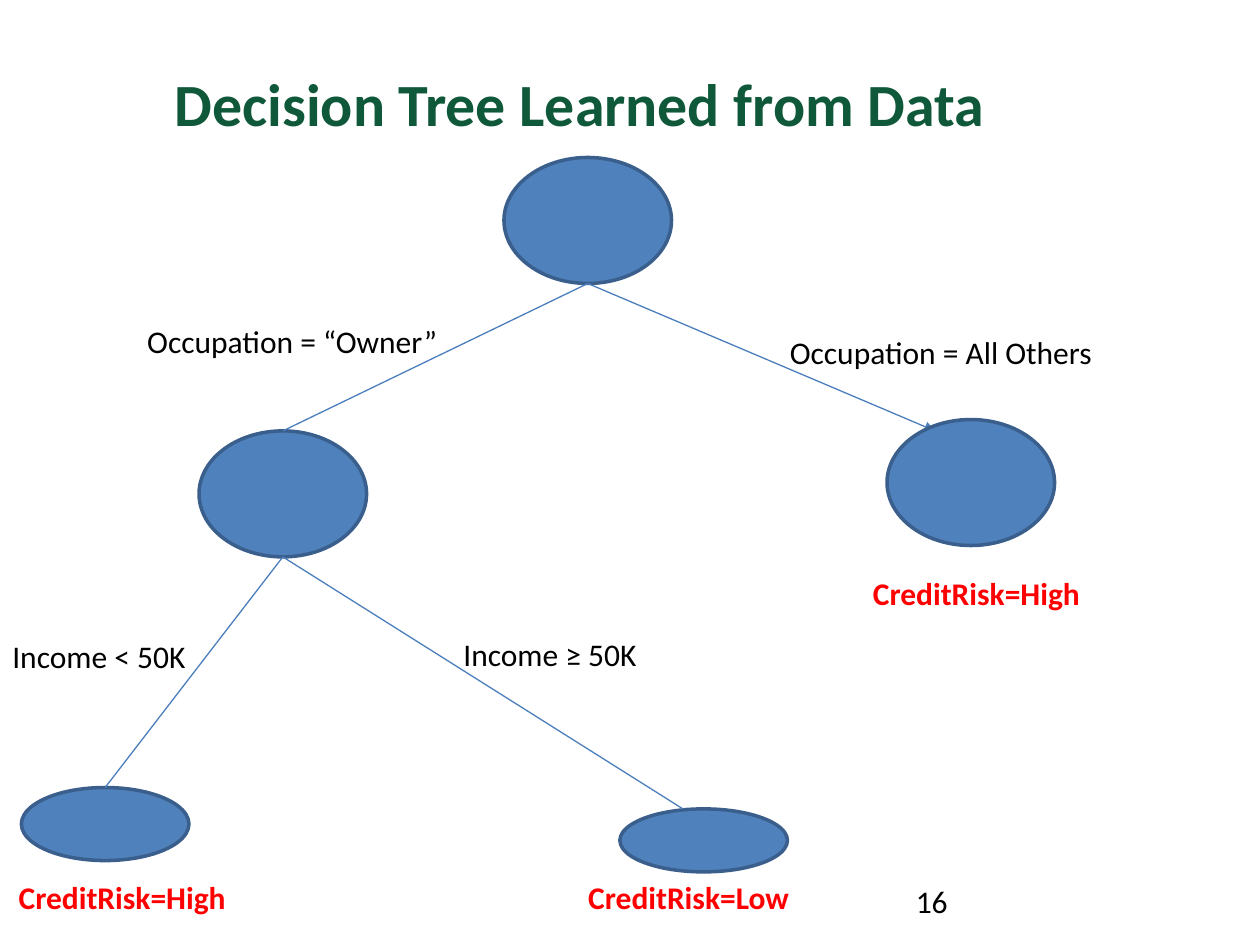
from dataclasses import dataclass

from pptx import Presentation
from pptx.dml.color import RGBColor
from pptx.enum.shapes import MSO_CONNECTOR, MSO_SHAPE
from pptx.enum.text import MSO_ANCHOR, MSO_AUTO_SIZE, PP_ALIGN
from pptx.oxml.ns import qn
from pptx.util import Inches, Pt
from lxml import etree

ELLIPSE = MSO_SHAPE.OVAL
STRAIGHT = MSO_CONNECTOR.STRAIGHT
MIDDLE = MSO_ANCHOR.MIDDLE
CENTER = PP_ALIGN.CENTER
FIT_SHAPE = MSO_AUTO_SIZE.SHAPE_TO_FIT_TEXT
FIT_NONE = MSO_AUTO_SIZE.NONE
TOP_SITE = 0
TITLE_ONLY = 5
NODE_WIDTH = 1.33
LABEL_HEIGHT = 0.4


@dataclass(frozen=True)
class Theme:
    font: str = "Calibri"
    title_size: float = 34.2
    label_size: float = 18
    title: RGBColor = RGBColor(0x0F, 0x58, 0x3A)
    text: RGBColor = RGBColor(0, 0, 0)
    outcome: RGBColor = RGBColor(0xFF, 0, 0)
    node: RGBColor = RGBColor(0x4F, 0x81, 0xBD)
    outline: RGBColor = RGBColor(0x3A, 0x5F, 0x8C)
    edge: RGBColor = RGBColor(0x4B, 0x7E, 0xBC)


THEME = Theme()


def format_text(frame, size, color, bold=False):
    for para in frame.paragraphs:
        for span in para.runs:
            span.font.name = THEME.font
            span.font.size = Pt(size)
            span.font.color.rgb = color
            span.font.bold = bold


def set_title(slide, text):
    title = slide.shapes.title
    title.left, title.top = Inches(0.35), Inches(0.49)
    title.width, title.height = Inches(8.5), Inches(0.64)
    frame = title.text_frame
    frame.text = text
    frame.auto_size = FIT_NONE
    frame.vertical_anchor = MIDDLE
    frame.paragraphs[0].alignment = CENTER
    format_text(frame, THEME.title_size, THEME.title, bold=True)


def add_node(slide, left, top, height=1):
    node = slide.shapes.add_shape(
        ELLIPSE, Inches(left), Inches(top), Inches(NODE_WIDTH), Inches(height)
    )
    node.shadow.inherit = False
    node.fill.solid()
    node.fill.fore_color.rgb = THEME.node
    node.line.color.rgb = THEME.outline
    node.line.width = Pt(2)
    return node


def add_edge(slide, parent, end, child=None, arrow=False):
    begin_x = parent.left + parent.width // 2
    begin_y = parent.top + parent.height
    edge = slide.shapes.add_connector(
        STRAIGHT, begin_x, begin_y, Inches(end[0]), Inches(end[1])
    )
    edge.line.color.rgb = THEME.edge
    edge.line.width = Pt(0.75)
    if child is not None:
        edge.end_connect(child, TOP_SITE)
    if arrow:
        etree.SubElement(edge.line._get_or_add_ln(), qn("a:tailEnd"), type="triangle")
    etree.SubElement(edge._element.spPr, qn("a:effectLst"))


def add_label(slide, text, left, top, width, color=THEME.text, bold=False, wrap=False):
    box = slide.shapes.add_textbox(
        Inches(left), Inches(top), Inches(width), Inches(LABEL_HEIGHT)
    )
    frame = box.text_frame
    frame.text = text
    frame.word_wrap = wrap
    frame.auto_size = FIT_NONE if wrap else FIT_SHAPE
    format_text(frame, THEME.label_size, color, bold)


def add_tree(slide):
    root = add_node(slide, 4, 1.25)
    owner = add_node(slide, 1.58, 3.42)
    add_edge(slide, root, (2.25, 3.42), child=owner)
    add_edge(slide, root, (7.42, 3.42), arrow=True)
    add_node(slide, 7.04, 3.33)
    low_income = add_node(slide, 0.17, 6.25, 0.58)
    add_node(slide, 4.92, 6.42, 0.5)
    add_edge(slide, owner, (0.83, 6.25), child=low_income)
    add_edge(slide, owner, (5.42, 6.42))


def add_labels(slide):
    conditions = [
        ("Occupation = “Owner”", 1.07, 2.51, 2.68),
        ("Occupation = All Others", 6.17, 2.59, 2.86),
        ("Income < 50K", 0, 5.01, 1.77),
        ("Income ≥ 50K", 3.58, 4.99, 1.76),
    ]
    outcomes = [
        ("CreditRisk=High", 0.05, 6.92, 2.17),
        ("CreditRisk=Low", 4.57, 6.92, 2.12),
        ("CreditRisk=High", 6.83, 4.51, 2.17),
    ]
    for condition in conditions:
        add_label(slide, *condition)
    for outcome in outcomes:
        add_label(slide, *outcome, color=THEME.outcome, bold=True)


def main():
    deck = Presentation()
    deck.slide_width, deck.slide_height = Inches(10), Inches(7.5)
    slide = deck.slides.add_slide(deck.slide_layouts[TITLE_ONLY])
    set_title(slide, "Decision Tree Learned from Data")
    add_tree(slide)
    add_labels(slide)
    add_label(slide, "16", 7.17, 6.95, 2.33, wrap=True)
    deck.save("out.pptx")


if __name__ == "__main__":
    main()
